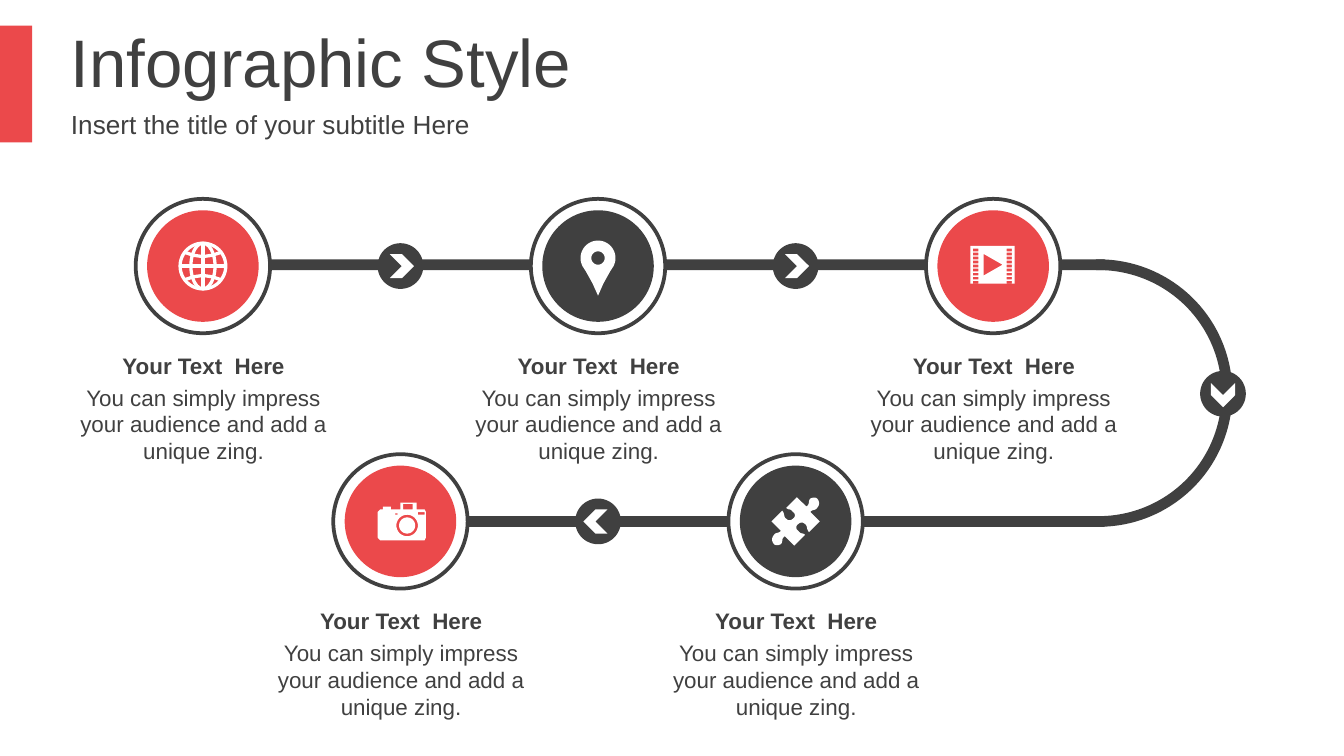
from math import cos, pi, sin

from lxml import etree
from pptx import Presentation
from pptx.dml.color import RGBColor
from pptx.enum.shapes import MSO_CONNECTOR, MSO_SHAPE
from pptx.enum.text import MSO_ANCHOR, PP_ALIGN
from pptx.oxml.ns import qn
from pptx.util import Inches, Pt

RED = RGBColor(0xEB, 0x49, 0x4B)
DARK = RGBColor(0x40, 0x40, 0x40)
WHITE = RGBColor(0xFF, 0xFF, 0xFF)
RECT, OVAL = MSO_SHAPE.RECTANGLE, MSO_SHAPE.OVAL
CHEVRON, ARC = MSO_SHAPE.CHEVRON, MSO_SHAPE.BLOCK_ARC
STRAIGHT, MIDDLE = MSO_CONNECTOR.STRAIGHT, MSO_ANCHOR.MIDDLE
LEFT, CENTER = PP_ALIGN.LEFT, PP_ALIGN.CENTER

# Content
TITLE = "Infographic Style"
SUBTITLE = "Insert the title of your subtitle Here"
HEADING = "Your Text  Here"
BODY = "You can simply impress your audience and add a unique zing."

# Layout: stops sit half a step apart on the two rows
START, STEP = 1.51, 2.94
TOP_ROW, BOTTOM_ROW = 1.98, 3.88
STOPS = [  # column, row, colour, icon
    (0, TOP_ROW, RED, "globe"),
    (1, TOP_ROW, DARK, "pin"),
    (2, TOP_ROW, RED, "film"),
    (0.5, BOTTOM_ROW, RED, "camera"),
    (1.5, BOTTOM_ROW, DARK, "puzzle"),
]
ARROWS = [  # centre x, centre y, rotation, chevron offset
    (START + STEP * 0.5, TOP_ROW, 0, (0.01, 0)),
    (START + STEP * 1.5, TOP_ROW, 0, (0.01, 0)),
    (START + STEP, BOTTOM_ROW, 180, (-0.02, 0)),
    (9.1, 2.93, 90, (0, 0.01)),
]

# Icon outlines, in inches from the icon centre
CAMERA_BODY = [
    (-0.15, -0.09), (-0.13, -0.09), (-0.13, -0.11), (-0.07, -0.11),
    (-0.07, -0.09), (0, -0.09), (0, -0.14), (0.12, -0.14),
    (0.12, -0.09), (0.18, -0.09), (0.19, -0.07), (0.19, 0.12),
    (0.18, 0.14), (-0.15, 0.14), (-0.17, 0.12), (-0.17, -0.07),
]
PUZZLE_START = (0.16, -0.17)
PUZZLE_HALF = [  # one point is a line, three points are a curve
    [(0.18, -0.15), (0.18, -0.12), (0.16, -0.1)],
    [(0.15, -0.08), (0.12, -0.09), (0.11, -0.07)],
    [(0.18, 0)],
    [(0.1, 0.08)],
    [(0.08, 0.06), (0.09, 0.03), (0.07, 0.02)],
    [(0.05, 0), (0.03, 0.01), (0.02, 0.02)],
    [(0, 0.03), (0, 0.06), (0.02, 0.07)],
    [(0.04, 0.1), (0.05, 0.08), (0.07, 0.1)],
    [(-0.01, 0.18)],
    [(-0.08, 0.11)],
    [(-0.11, 0.13), (-0.09, 0.15), (-0.11, 0.17)],
    [(-0.13, 0.18), (-0.15, 0.18), (-0.16, 0.17)],
]
PIN_TIP = [(0.09, 0.04), (0.04, 0.13), (0, 0.22), (-0.04, 0.13), (-0.09, 0.04)]
PARALLEL = [(-0.13, 0.1), (-0.07, 0.08), (0, 0.07), (0.07, 0.08), (0.13, 0.1)]

deck = Presentation()
deck.slide_width = Inches(10)
deck.slide_height = deck.slide_width * 9 // 16
page = deck.slides.add_slide(deck.slide_layouts[6])
shapes = page.shapes


def paint(shape, fill, line=None, width=2):
    shape.shadow.inherit = False
    if fill is None:
        shape.fill.background()
    else:
        shape.fill.solid()
        shape.fill.fore_color.rgb = fill
    if line is None:
        shape.line.fill.background()
    else:
        shape.line.color.rgb = line
        shape.line.width = Pt(width)
    return shape


def add_block(kind, x, y, w, h, fill, line=None, width=2):
    shape = shapes.add_shape(kind, Inches(x), Inches(y), Inches(w), Inches(h))
    return paint(shape, fill, line, width)


def add_centred(kind, x, y, w, h, fill, line=None, width=2):
    return add_block(kind, x - w / 2, y - h / 2, w, h, fill, line, width)


def add_text(text, x, y, w, h, size, align=LEFT, bold=False):
    box = shapes.add_textbox(Inches(x), Inches(y), Inches(w), Inches(h))
    frame = box.text_frame
    frame.word_wrap = True
    frame.vertical_anchor = MIDDLE
    frame.text = text
    para = frame.paragraphs[0]
    para.alignment = align
    font = para.runs[0].font
    font.name, font.size, font.bold = "Arial", Pt(size), bold
    font.color.rgb = DARK


def add_outline(x, y, contours, close=True):
    """Build one freeform; inner contours become holes."""
    placed = [[(Inches(x + dx), Inches(y + dy)) for dx, dy in points] for points in contours]
    builder = shapes.build_freeform(*placed[0][0])
    for index, points in enumerate(placed):
        if index:
            builder.move_to(*points[0])
        builder.add_line_segments(points[1:], close=close)
    return builder.convert_to_shape()


def circle(x, y, radius, start=0, end=2 * pi, count=40):
    angles = [start + (end - start) * i / count for i in range(count + 1)]
    return [(x + radius * cos(a), y + radius * sin(a)) for a in angles]


def rectangle(x, y, w, h):
    return [(x, y), (x + w, y), (x + w, y + h), (x, y + h)]


def bezier(p0, p1, p2, p3, count=8):
    for i in range(1, count + 1):
        t, s = i / count, 1 - i / count
        yield tuple(s ** 3 * a + 3 * t * s * s * b + 3 * t * t * s * c + t ** 3 * d
                    for a, b, c, d in zip(p0, p1, p2, p3))


def pin():
    return [circle(0, -0.06, 0.13, pi * 0.82, pi * 2.18) + PIN_TIP, circle(0, -0.06, 0.05)]


def film():
    holes = [rectangle(x, -0.13 + 0.03 * row, 0.04, 0.02)
             for x in (-0.15, 0.1) for row in range(9)]
    return [rectangle(-0.17, -0.15, 0.33, 0.28), *holes,
            [(-0.07, -0.09), (0.07, -0.01), (-0.07, 0.07)]]


def camera():
    return [CAMERA_BODY, circle(0.05, 0.03, 0.08), circle(0.05, 0.03, 0.06),
            rectangle(0.02, -0.13, 0.07, 0.04), rectangle(0.13, -0.07, 0.05, 0.02),
            rectangle(-0.04, -0.06, 0.02, 0.01)]


def puzzle():
    half = [PUZZLE_START]
    for points in PUZZLE_HALF:
        half += points if len(points) == 1 else bezier(half[-1], *points)
    return [half + [(-x, -y) for x, y in half]]


def add_globe(x, y):
    for width in (0.34, 0.18):
        add_centred(OVAL, x, y, width, 0.34, None, WHITE, 1.75)
    for dx, dy in ((0.17, 0), (0, 0.17)):
        axis = shapes.add_connector(STRAIGHT, Inches(x - dx), Inches(y - dy),
                                    Inches(x + dx), Inches(y + dy))
        axis.line.color.rgb, axis.line.width = WHITE, Pt(1.75)
        etree.SubElement(axis._element.spPr, qn("a:effectLst"))
    for sign in (1, -1):
        arc = [(dx, sign * dy) for dx, dy in PARALLEL]
        paint(add_outline(x, y, [arc], close=False), None, WHITE, 1.75)


ICONS = {"pin": pin, "film": film, "camera": camera, "puzzle": puzzle}

# Header
add_block(RECT, 0, 0.19, 0.24, 0.87, RED)
add_text(TITLE, 0.43, 0.14, 7.64, 0.63, 36)
add_text(SUBTITLE, 0.43, 0.77, 7.64, 0.31, 14)

# Track
bend = add_block(ARC, 7.18, 1.93, 1.99, 1.99, DARK)
for index, value in enumerate((161.27, 54.9, 0.04)):
    bend.adjustments[index] = value
add_block(RECT, 1.49, 1.93, 6.73, 0.08, DARK)
add_block(RECT, 2.63, 3.84, 5.59, 0.08, DARK)

# Stops with icons and captions
for column, row, colour, icon in STOPS:
    x = START + STEP * column
    add_centred(OVAL, x, row, 1, 1, WHITE, DARK)
    add_centred(OVAL, x, row, 0.83, 0.83, colour)
    if icon == "globe":
        add_globe(x, row)
    else:
        paint(add_outline(x, row, ICONS[icon]()), WHITE)
    add_text(BODY, x - 1.1, row + 0.82, 2.21, 0.71, 12, CENTER)
    add_text(HEADING, x - 1.1, row + 0.59, 2.21, 0.3, 12, CENTER, True)

# Direction arrows
for x, y, turn, (dx, dy) in ARROWS:
    add_centred(OVAL, x, y, 0.34, 0.34, DARK)
    add_centred(CHEVRON, x + dx, y + dy, 0.18, 0.18, WHITE).rotation = turn

deck.save("out.pptx")
